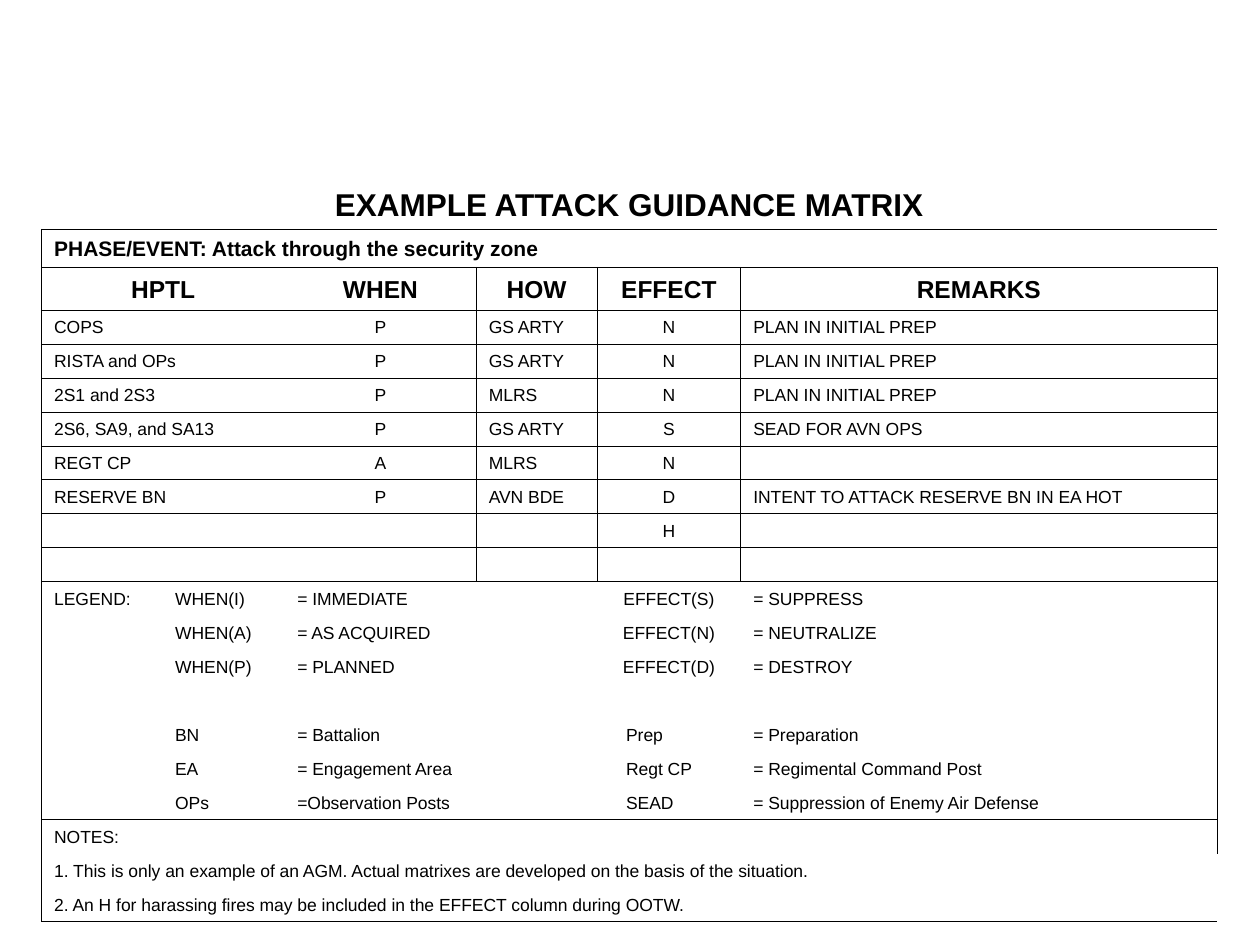
"""Build the attack guidance matrix slide."""
import dataclasses

import lxml.etree
import pptx
import pptx.dml.color
import pptx.enum.text
import pptx.oxml.ns
import pptx.util

Inches = pptx.util.Inches
Pt = pptx.util.Pt
qn = pptx.oxml.ns.qn
ALIGN = pptx.enum.text.PP_ALIGN


@dataclasses.dataclass(frozen=True)
class Theme:
    font: str = "Arial"
    ink: str = "000000"
    paper: str = "FFFFFF"
    title: int = 18
    phase: int = 12
    heading: int = 14
    body: int = 10
    rule: float = 0.45


@dataclasses.dataclass(frozen=True)
class Band:
    rows: list
    size: int
    height: float
    bold: bool = False
    centred: tuple = ()
    grid: bool = False
    edges: str = "LRTB"


class Matrix:
    def __init__(self, page, theme):
        self.page = page
        self.theme = theme

    def add_table(self, left, top, widths, bands):
        heights = [band.height for band in bands for _ in band.rows]
        frame = self.page.shapes.add_table(
            len(heights), len(widths), Inches(left), Inches(top),
            Inches(sum(widths)), Inches(sum(heights)))
        table = frame.table
        table.first_row = table.horz_banding = False
        for column, width in zip(table.columns, widths):
            column.width = Inches(width)
        for row, height in zip(table.rows, heights):
            row.height = Inches(height)
        first = 0
        for band in bands:
            for offset, texts in enumerate(band.rows):
                self.add_row(table, first + offset, texts, band, offset)
            first += len(band.rows)

    def add_row(self, table, row, texts, band, offset):
        last_column = len(texts) - 1
        for column, text in enumerate(texts):
            cell = table.cell(row, column)
            starts = text is not None
            ends = column == last_column or texts[column + 1] is not None
            on_edge = {
                "L": starts and (band.grid or column == 0),
                "R": ends and (band.grid or column == last_column),
                "T": band.grid or offset == 0,
                "B": band.grid or offset == len(band.rows) - 1,
            }
            self.add_borders(cell, {side for side in band.edges if on_edge[side]})
            cell.fill.solid()
            cell.fill.fore_color.rgb = pptx.dml.color.RGBColor.from_string(self.theme.paper)
            cell.vertical_anchor = pptx.enum.text.MSO_ANCHOR.BOTTOM
            self.add_text(cell, text, band, column)
        starts = [column for column, text in enumerate(texts) if text is not None]
        for start, following in zip(starts, starts[1:] + [len(texts)]):
            if following - start > 1:
                table.cell(row, start).merge(table.cell(row, following - 1))

    def add_borders(self, cell, sides):
        properties = cell._tc.get_or_add_tcPr()
        for side in "LRTB":
            line = lxml.etree.SubElement(properties, qn(f"a:ln{side}"))
            if side in sides:
                line.set("w", str(Pt(self.theme.rule)))
                fill = lxml.etree.SubElement(line, qn("a:solidFill"))
                lxml.etree.SubElement(fill, qn("a:srgbClr")).set("val", self.theme.ink)
            else:
                lxml.etree.SubElement(line, qn("a:noFill"))

    def add_text(self, cell, text, band, column):
        para = cell.text_frame.paragraphs[0]
        if not text:
            ending = lxml.etree.SubElement(para._p, qn("a:endParaRPr"))
            ending.set("sz", str(band.size * 100))
            return
        if column in band.centred:
            para.alignment = ALIGN.CENTER
        elif text in INDENTED:
            para.level = 1
            para._p.get_or_add_pPr().set("marL", str(Inches(0.13)))
            para._p.get_or_add_pPr().set("indent", "0")
        else:
            para.alignment = ALIGN.LEFT
        span = para.add_run()
        span.text = text
        formats = {"name": self.theme.font, "size": Pt(band.size), "bold": band.bold}
        for name, value in formats.items():
            setattr(span.font, name, value)
        span.font.color.rgb = pptx.dml.color.RGBColor.from_string(self.theme.ink)


def wide(text):
    return [text] + [None] * 5


THEME = Theme()
ROW = 0.27
INDENTED = {"Prep", "Regt CP", "SEAD"}
WIDTHS = [0.96, 0.97, 1.52, 0.96, 1.14, 3.78]
TARGETS = [
    ["COPS", None, "P", "GS ARTY", "N", "PLAN IN INITIAL PREP"],
    ["RISTA and OPs", None, "P", "GS ARTY", "N", "PLAN IN INITIAL PREP"],
    ["2S1 and 2S3", None, "P", "MLRS", "N", "PLAN IN INITIAL PREP"],
    ["2S6, SA9, and SA13", None, "P", "GS ARTY", "S", "SEAD FOR AVN OPS"],
    ["REGT CP", None, "A", "MLRS", "N", ""],
    ["RESERVE BN", None, "P", "AVN BDE", "D", "INTENT TO ATTACK RESERVE BN IN EA HOT"],
    ["", None, "", "", "H", ""],
    ["", None, "", "", "", ""],
]
CODES = [
    ["LEGEND:", "WHEN(I)", "= IMMEDIATE", "", "EFFECT(S)", "= SUPPRESS"],
    ["", "WHEN(A)", "= AS ACQUIRED", "", "EFFECT(N)", "= NEUTRALIZE"],
    ["", "WHEN(P)", "= PLANNED", "", "EFFECT(D)", "= DESTROY"],
]
TERMS = [
    ["", "", "", "", "", ""],
    ["", "BN", "= Battalion", "", "Prep", "= Preparation"],
    ["", "EA", "= Engagement Area", None, "Regt CP", "= Regimental Command Post"],
    ["", "OPs", "=Observation Posts", None, "SEAD", "= Suppression of Enemy Air Defense"],
]
NOTES = [
    ["NOTES:", "", "", "", "", ""],
    wide("1. This is only an example of an AGM. Actual matrixes are developed "
         "on the basis of the situation."),
    wide("2. An H for harassing fires may be included in the EFFECT column during OOTW."),
]
BANDS = [
    Band([wide("EXAMPLE ATTACK GUIDANCE MATRIX")], THEME.title, 0.4, True, (0,), edges="B"),
    Band([wide("PHASE/EVENT: Attack through the security zone")], THEME.phase, 0.3, True),
    Band([["HPTL", None, "WHEN", "HOW", "EFFECT", "REMARKS"]],
         THEME.heading, 0.34, True, tuple(range(6)), True),
    Band(TARGETS, THEME.body, ROW, centred=(2, 4), grid=True),
    Band(CODES, THEME.body, ROW, centred=(4,), edges="LRT"),
    Band(TERMS, THEME.body, ROW, edges="LRB"),
    Band(NOTES, THEME.body, ROW),
]


def main():
    deck = pptx.Presentation()
    deck.slide_width, deck.slide_height = Inches(10), Inches(7.5)
    page = deck.slides.add_slide(deck.slide_layouts[6])
    Matrix(page, THEME).add_table(0.33, 1.42, WIDTHS, BANDS)
    deck.save("out.pptx")


if __name__ == "__main__":
    main()
